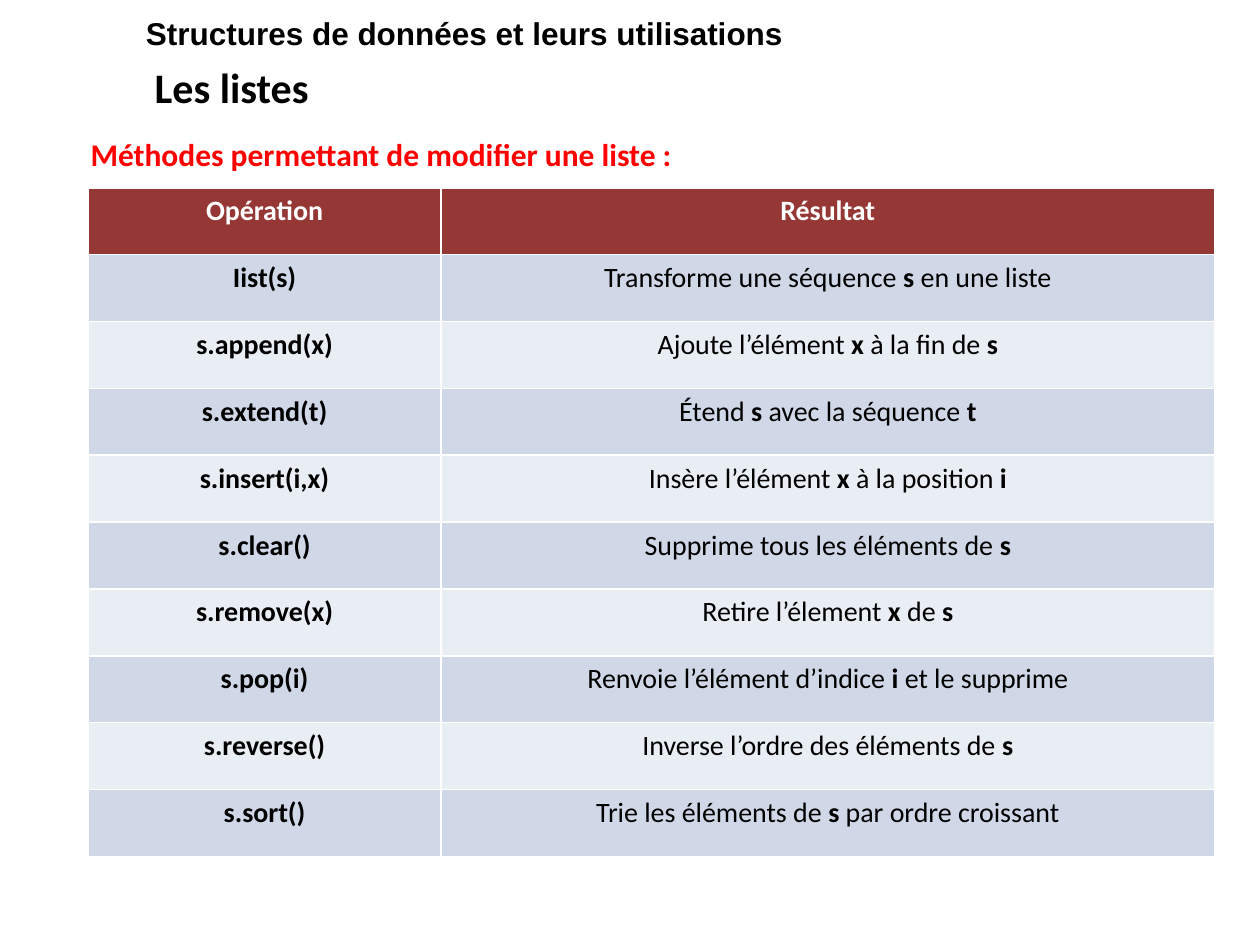
from pptx import Presentation
from pptx.dml.color import RGBColor
from pptx.enum.text import MSO_ANCHOR as Anchor, MSO_AUTO_SIZE as AutoSize, PP_ALIGN as Align
from pptx.util import Inches, Pt


def color(hex_code):
    return RGBColor.from_string(hex_code)


def write(frame, text, size=16, font="Calibri", ink="000000", bold=False, align=Align.LEFT):
    """Fill the first paragraph; parts between asterisks are bold."""
    para = frame.paragraphs[0]
    para.alignment = align
    for index, part in enumerate(text.split("*")):
        if part:
            span = para.add_run()
            span.text = part
            span.font.size = Pt(size)
            span.font.name = font
            span.font.bold = bold or index % 2 == 1
            span.font.color.rgb = color(ink)


deck = Presentation()
deck.slide_width, deck.slide_height = Inches(10), Inches(7.5)
page = deck.slides.add_slide(deck.slide_layouts[6])

headings = [
    ("Structures de données et leurs utilisations", (1.06, 0.06, 8.94, 0.4),
     AutoSize.SHAPE_TO_FIT_TEXT, Anchor.TOP, dict(size=18, font="Arial")),
    ("Les listes", (1.13, 0.44, 8.87, 0.49),
     AutoSize.NONE, Anchor.MIDDLE, dict(size=24)),
    ("Méthodes permettant de modifier une liste :", (0.62, 1.02, 8.98, 0.4),
     AutoSize.SHAPE_TO_FIT_TEXT, Anchor.TOP, dict(size=18, ink="FF0000")),
]
for text, place, fit, anchor, style in headings:
    box = page.shapes.add_textbox(*[Inches(length) for length in place])
    frame = box.text_frame
    frame.word_wrap = True
    frame.auto_size = fit
    frame.vertical_anchor = anchor
    write(frame, text, bold=True, **style)

rows = [
    ("Opération", "Résultat"),
    ("Iist(s)", "Transforme une séquence *s* en une liste"),
    ("s.append(x)", "Ajoute l’élément *x* à la fin de *s*"),
    ("s.extend(t)", "Étend *s* avec la séquence *t*"),
    ("s.insert(i,x)", "Insère l’élément *x* à la position *i*"),
    ("s.clear()", "Supprime tous les éléments de *s*"),
    ("s.remove(x)", "Retire l’élement *x* de *s*"),
    ("s.pop(i)", "Renvoie l’élément d’indice *i* et le supprime"),
    ("s.reverse()", "Inverse l’ordre des éléments de *s*"),
    ("s.sort()", "Trie les éléments de *s* par ordre croissant"),
]
# The default table style supplies the white borders and the thick header rule.
table = page.shapes.add_table(
    len(rows), 2, Inches(0.7), Inches(1.49), Inches(8.94), Inches(5.31)).table
table.columns[0].width = Inches(2.8)
table.columns[1].width = Inches(6.14)

for row, texts in enumerate(rows):
    header = row == 0
    band = "953735" if header else ("E9EDF4", "D0D8E8")[row % 2]
    for column, text in enumerate(texts):
        cell = table.cell(row, column)
        cell.fill.solid()
        cell.fill.fore_color.rgb = color(band)
        write(cell.text_frame, text, ink="FFFFFF" if header else "000000",
              bold=header or column == 0, align=Align.CENTER)

deck.save("out.pptx")
